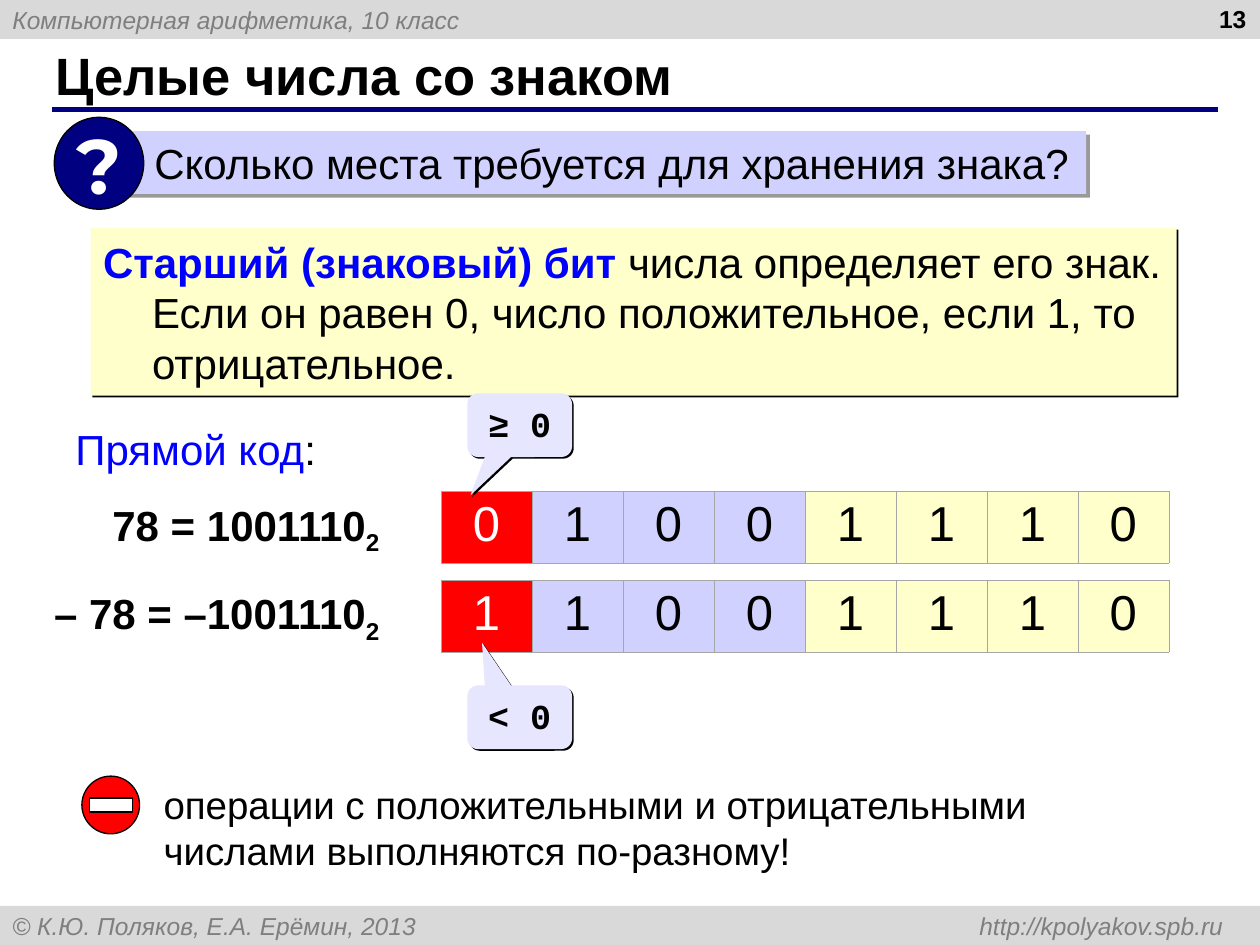
from lxml import etree
from pptx import Presentation
from pptx.dml.color import RGBColor
from pptx.enum.shapes import MSO_CONNECTOR, MSO_SHAPE as Shape
from pptx.enum.text import MSO_ANCHOR as Anchor, PP_ALIGN as Align
from pptx.oxml.ns import qn
from pptx.util import Pt

COLORS = {
    "black": "000000", "white": "FFFFFF", "band": "D9D9D9", "muted": "7F7F7F",
    "navy": "000080", "blue": "0000FF", "red": "FF0000", "lilac": "D1D1FF",
    "pale_lilac": "E6E6FF", "cream": "FFFFCC", "grid": "A6A6A6",
}
BIT_FILLS = ["red"] + ["lilac"] * 3 + ["cream"] * 4
BIT_WIDTH, ROW_HEIGHT, BITS_LEFT = 52, 41, 252


def rgb(name):
    return RGBColor.from_string(COLORS[name])


def style(font, size=None, color=None, bold=None, italic=None, face=None):
    if size:
        font.size = Pt(size)
    if color:
        font.color.rgb = rgb(color)
    if face:
        font.name = face
    font.bold, font.italic = bold, italic


def write(holder, text, size, color="black", bold=None, italic=None,
          face="Arial", align=Align.LEFT, anchor=Anchor.TOP, wrap=True):
    """Put one uniformly styled paragraph into a shape or text box."""
    frame = holder.text_frame
    frame.word_wrap, frame.vertical_anchor = wrap, anchor
    paragraph = frame.paragraphs[0]
    paragraph.alignment = align
    style(paragraph.font, size, color, bold, italic, face)
    if text:
        paragraph.add_run().text = text
    return paragraph


def add_text(shapes, box, text, size, **options):
    holder = shapes.add_textbox(*map(Pt, box))
    return write(holder, text, size, **options)


def add_run(paragraph, text, color="black", bold=None):
    run = paragraph.add_run()
    run.text = text
    style(run.font, color=color, bold=bold)
    return run


def add_block(shapes, kind, box, fill, outline=None, shadow=None):
    """Add a filled shape; shadow is (distance in points, opacity in percent)."""
    block = shapes.add_shape(kind, *map(Pt, box))
    block.shadow.inherit = False
    block.fill.solid()
    block.fill.fore_color.rgb = rgb(fill)
    if outline:
        block.line.color.rgb = rgb(outline)
        block.line.width = Pt(0.75)
    else:
        block.line.fill.background()
    if shadow:
        distance, opacity = shadow
        effects = block._element.spPr.find(qn("a:effectLst"))
        outer = etree.SubElement(effects, qn("a:outerShdw"), blurRad="0",
                                 dist=str(Pt(distance)), dir="2700000",
                                 algn="ctr", rotWithShape="0")
        tint = etree.SubElement(outer, qn("a:srgbClr"), val=COLORS["black"])
        etree.SubElement(tint, qn("a:alpha"), val=str(opacity * 1000))
    return block


def add_band(shapes, top, text):
    band = add_block(shapes, Shape.RECTANGLE, (0, top, 720, 22.3), "band")
    return write(band, text, 14, color="muted", italic=True, anchor=Anchor.MIDDLE)


def add_right_tab(paragraph, position):
    tabs = etree.Element(qn("a:tabLst"))
    etree.SubElement(tabs, qn("a:tab"), pos=str(Pt(position)), algn="r")
    paragraph._p.get_or_add_pPr().insert(0, tabs)


def add_rule(shapes):
    rule = shapes.add_connector(MSO_CONNECTOR.STRAIGHT, Pt(29.5), Pt(62.6),
                                Pt(696.2), Pt(62.6))
    rule.line.color.rgb = rgb("navy")
    rule.line.width = Pt(3)
    etree.SubElement(rule._element.spPr, qn("a:effectLst"))


def add_question(shapes):
    group = shapes.add_group_shape().shapes
    bar = add_block(group, Shape.RECTANGLE, (67.7, 74.9, 553, 36), "lilac",
                    shadow=(3, 40))
    write(bar, "Сколько места требуется для хранения знака?", 24)
    bar.text_frame.margin_left = Pt(20.5)
    badge = add_block(group, Shape.OVAL, (31, 67, 51.1, 52.6), "navy", "black")
    write(badge, "?", 44, color="white", bold=True, face="Montserrat",
          align=Align.CENTER, anchor=Anchor.MIDDLE, wrap=False)


def add_definition(shapes):
    panel = add_block(shapes, Shape.RECTANGLE, (51.8, 130.3, 620.6, 95.8),
                      "cream", shadow=(1.4, 100))
    definition = write(panel, "", 24, anchor=Anchor.MIDDLE)
    indents = definition._p.get_or_add_pPr()
    indents.set("marL", str(Pt(28)))
    indents.set("indent", str(-Pt(28)))
    add_run(definition, "Старший (знаковый) бит", "blue", True)
    add_run(definition, " числа определяет его знак. Если он равен 0, число "
            "положительное, если 1, то отрицательное.")


def set_borders(cell):
    properties = cell._tc.get_or_add_tcPr()
    for side in ("lnL", "lnR", "lnT", "lnB"):
        border = etree.SubElement(properties, qn(f"a:{side}"), w=str(Pt(0.23)))
        paint = etree.SubElement(border, qn("a:solidFill"))
        etree.SubElement(paint, qn("a:srgbClr"), val=COLORS["grid"])


def add_code_row(shapes, top, equation, bits):
    """Add an equation and the row of bits that stores its value."""
    label = add_text(shapes, (20.9, top + 1, 203, 40.3), "", 24, bold=True,
                     align=Align.RIGHT, wrap=False)
    add_run(label, equation, bold=True)
    base = add_run(label, "2", bold=True)
    base._r.get_or_add_rPr().set("baseline", "-25000")

    table = shapes.add_table(1, len(bits), Pt(BITS_LEFT), Pt(top),
                             Pt(BIT_WIDTH * len(bits)), Pt(ROW_HEIGHT)).table
    table.first_row = table.horz_banding = False
    for column in table.columns:
        column.width = Pt(BIT_WIDTH)
    for cell, bit, fill in zip(table.rows[0].cells, bits, BIT_FILLS):
        set_borders(cell)
        cell.fill.solid()
        cell.fill.fore_color.rgb = rgb(fill)
        digit = cell.text_frame.paragraphs[0]
        digit.alignment = Align.CENTER
        digit.add_run().text = bit
        style(digit.font, 28, "white" if fill == "red" else "black", face="Arial")


def add_callout(shapes, top, text, tip):
    callout = add_block(shapes, Shape.ROUNDED_RECTANGULAR_CALLOUT,
                        (267.1, top, 59.8, 36.4), "pale_lilac", shadow=(1.4, 100))
    callout.adjustments[0], callout.adjustments[1] = tip
    write(callout, text, 20, bold=True, face="Courier New", align=Align.CENTER)


def add_warning(shapes):
    sign = shapes.add_group_shape().shapes
    add_block(sign, Shape.OVAL, (46.8, 443.5, 33, 33), "red", "black")
    add_block(sign, Shape.RECTANGLE, (51, 456, 24.6, 8), "white", "black")
    add_text(shapes, (86.4, 442.8, 520.6, 67.7),
             "операции с положительными и отрицательными числами "
             "выполняются по-разному!", 22)


def main():
    deck = Presentation()
    deck.slide_width, deck.slide_height = Pt(720), Pt(540)
    shapes = deck.slides.add_slide(deck.slide_layouts[6]).shapes

    add_band(shapes, 0, "Компьютерная арифметика, 10 класс")
    add_rule(shapes)
    footer = add_band(shapes, 517.7,
                      "© К.Ю. Поляков, Е.А. Ерёмин, 2013\thttp://kpolyakov.spb.ru")
    add_right_tab(footer, 692)
    add_text(shapes, (24.5, 23.8, 659.5, 37.4), "Целые числа со знаком", 30,
             bold=True, anchor=Anchor.MIDDLE)
    add_text(shapes, (551.5, -1.4, 167.8, 37.4), "13", 14, bold=True,
             align=Align.RIGHT)

    add_question(shapes)
    add_definition(shapes)
    heading = add_text(shapes, (36, 238.3, 151.9, 36), "", 24, wrap=False)
    add_run(heading, "Прямой код", "blue")
    add_run(heading, ":")
    add_code_row(shapes, 280.8, "78 = 1001110", "01001110")
    add_code_row(shapes, 331.4, "– 78 = –1001110", "11001110")
    add_callout(shapes, 224.8, "≥ 0", (-0.47, 1.1))
    add_callout(shapes, 391.7, "< 0", (-0.36, -1.17))
    add_warning(shapes)
    deck.save("out.pptx")


if __name__ == "__main__":
    main()
